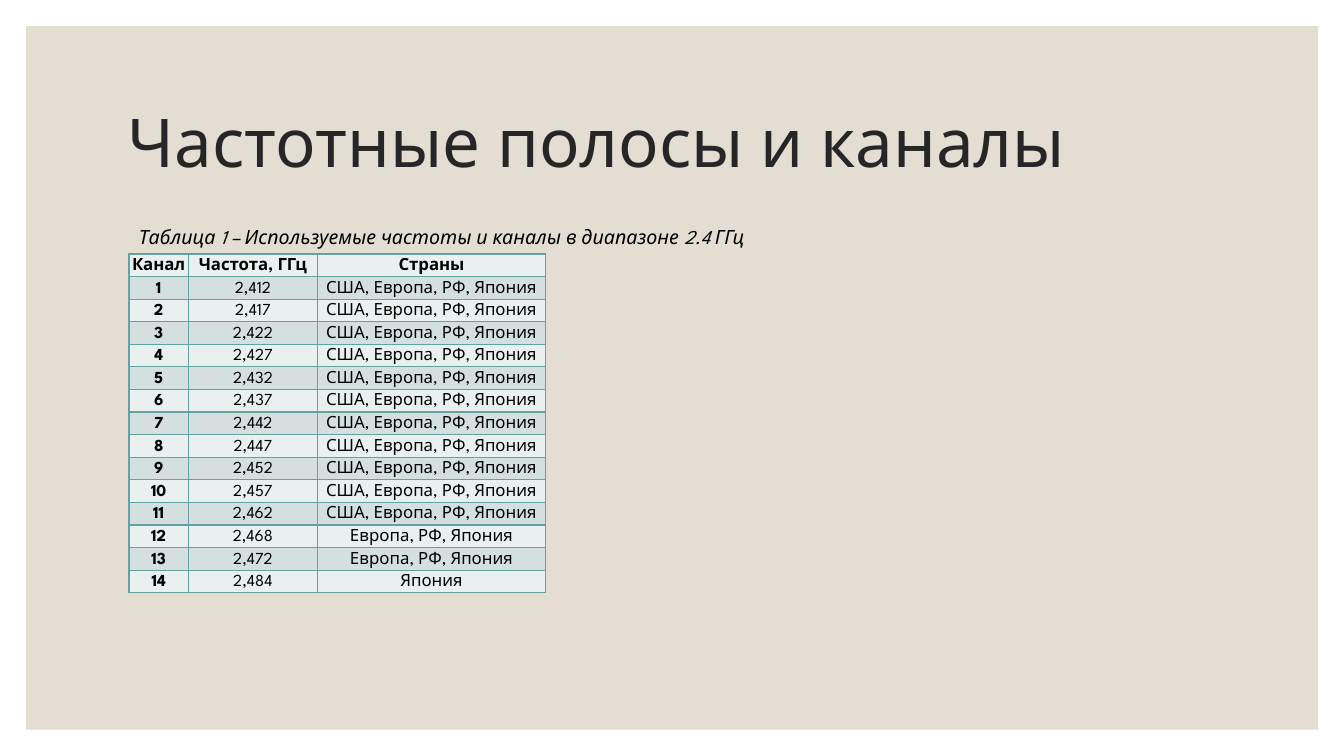
from lxml.etree import SubElement
from pptx import Presentation
from pptx.dml.color import RGBColor
from pptx.enum.shapes import MSO_SHAPE as Shape
from pptx.enum.text import MSO_ANCHOR as Anchor, MSO_AUTO_SIZE as Fit, PP_ALIGN as Align
from pptx.oxml.ns import qn
from pptx.util import Cm, Pt

FONT = "League Spartan"
BLACK, SAND, TEAL = "000000", "E3DED1", "62A39F"
BANDS = ["EAF0F0", "D3E0DF"]
HEAD = ["Канал", "Частота, ГГц", "Страны"]
FREQS = ["2,412", "2,417", "2,422", "2,427", "2,432", "2,437", "2,442",
         "2,447", "2,452", "2,457", "2,462", "2,468", "2,472", "2,484"]
LANDS = ["США, Европа, РФ, Япония"] * 11 + ["Европа, РФ, Япония"] * 2 + ["Япония"]
WIDTHS = [1.5, 3.25, 5.75]
ROW = 0.57


def color(code):
    return RGBColor.from_string(code)


def style(frame, size, code, bold=False, italic=False):
    for run in frame.paragraphs[0].runs:
        font = run.font
        font.name, font.size = FONT, Pt(size)
        font.bold, font.italic = bold, italic
        font.color.rgb = color(code)


def add_panel(slide):
    """Sand field behind everything else."""
    panel = slide.shapes.add_shape(
        Shape.RECTANGLE, Cm(0.66), Cm(0.66), Cm(32.56), Cm(17.73))
    panel.shadow.inherit = False
    panel.fill.solid()
    panel.fill.fore_color.rgb = color(SAND)
    panel.line.fill.background()
    slide.shapes._spTree.insert(2, panel._element)


def set_title(slide, text):
    title = slide.shapes.title
    title.left, title.top = Cm(2.97), Cm(1.78)
    title.width, title.height = Cm(27.94), Cm(3.81)
    frame = title.text_frame
    frame.text = text
    frame.auto_size = Fit.NONE
    frame.vertical_anchor = Anchor.MIDDLE
    para = frame.paragraphs[0]
    para.alignment, para.line_spacing = Align.LEFT, 0.9
    style(frame, 48, "262626")


def add_caption(slide, text):
    box = slide.shapes.add_textbox(Cm(3.25), Cm(5.54), Cm(17.63), Cm(0.86))
    frame = box.text_frame
    frame.word_wrap = True
    frame.auto_size = Fit.SHAPE_TO_FIT_TEXT
    frame.text = text
    style(frame, 14, BLACK, italic=True)


def add_border(cell):
    props = cell._tc.get_or_add_tcPr()
    for side in ("lnL", "lnR", "lnT", "lnB"):
        line = SubElement(props, qn(f"a:{side}"), w=str(Pt(1)))
        fill = SubElement(line, qn("a:solidFill"))
        SubElement(fill, qn("a:srgbClr"), val=TEAL)


def fill_cell(cell, text, band, bold):
    add_border(cell)
    cell.fill.solid()
    cell.fill.fore_color.rgb = color(band)
    cell.vertical_anchor = Anchor.MIDDLE
    cell.margin_left = cell.margin_right = Cm(0.04)
    cell.margin_top = cell.margin_bottom = Cm(0.06)
    frame = cell.text_frame
    frame.text = text
    para = frame.paragraphs[0]
    para.alignment, para.line_spacing = Align.CENTER, 1.15
    style(frame, 12, BLACK, bold)


def add_grid(slide, rows):
    table = slide.shapes.add_table(
        len(rows), len(WIDTHS), Cm(3.25), Cm(6.4),
        Cm(sum(WIDTHS)), Cm(ROW * len(rows))).table
    for col, width in zip(table.columns, WIDTHS):
        col.width = Cm(width)
    for r, row in enumerate(rows):
        table.rows[r].height = Cm(ROW)
        for c, text in enumerate(row):
            fill_cell(table.cell(r, c), text, BANDS[r % 2], r == 0 or c == 0)


def main():
    deck = Presentation()
    deck.slide_width, deck.slide_height = Cm(33.87), Cm(19.05)
    slide = deck.slides.add_slide(deck.slide_layouts[5])
    add_panel(slide)
    set_title(slide, "Частотные полосы и каналы")
    rows = [(str(n), freq, land)
            for n, (freq, land) in enumerate(zip(FREQS, LANDS), 1)]
    add_grid(slide, [HEAD] + rows)
    add_caption(slide, "Таблица 1 – Используемые частоты и каналы в диапазоне 2.4 ГГц")
    deck.save("out.pptx")


if __name__ == "__main__":
    main()
